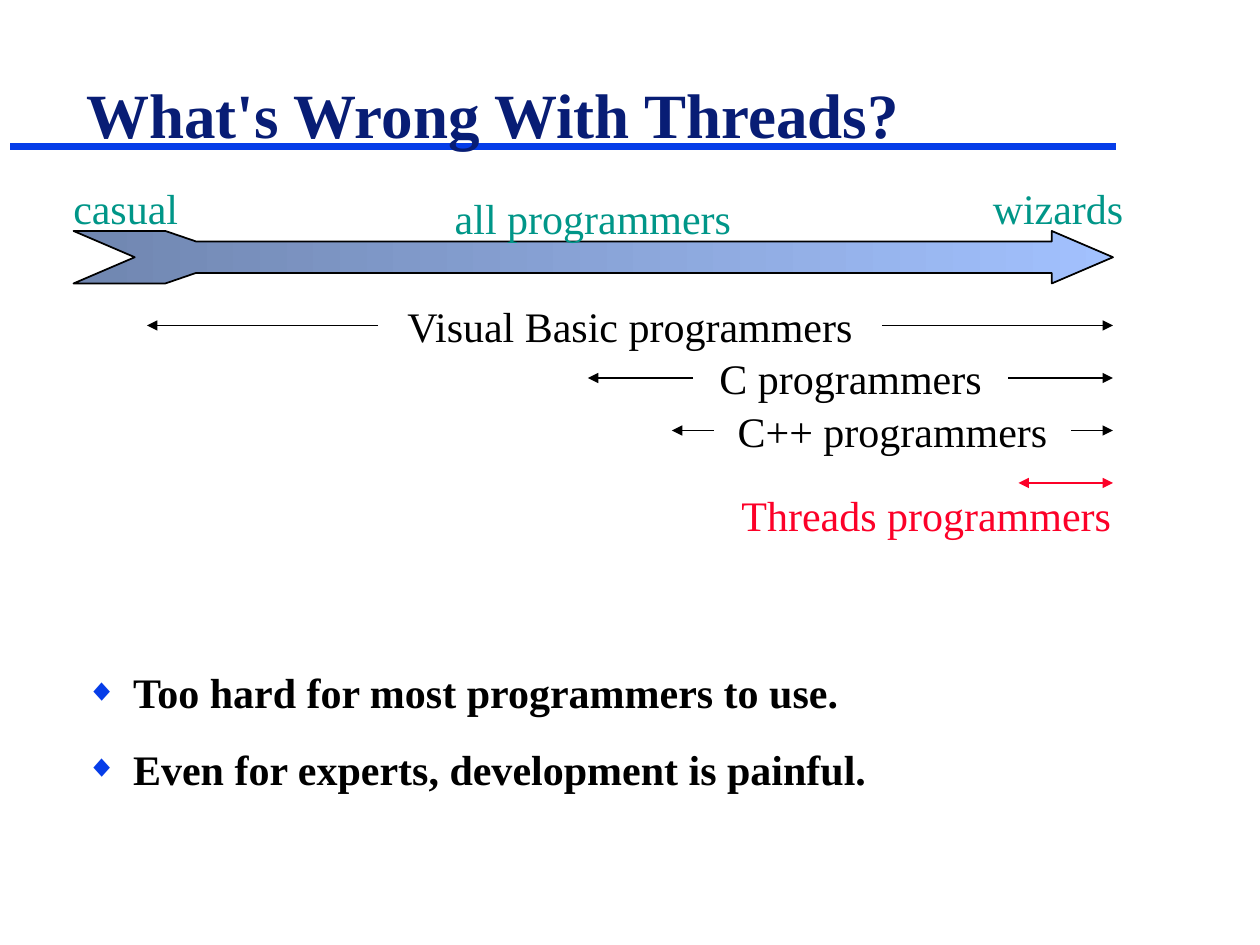
"""Build a slide showing how few programmers can work with threads."""
import lxml.etree
import pptx
import pptx.dml.color
import pptx.enum.shapes
import pptx.enum.text
import pptx.oxml.ns
import pptx.util

Pt = pptx.util.Pt
Align = pptx.enum.text.PP_ALIGN
Anchor = pptx.enum.text.MSO_ANCHOR
qn = pptx.oxml.ns.qn

THEME = {
    "font": "Times New Roman", "title_size": 36, "text_size": 24,
    "title": "081D75", "accent": "063DE8", "label": "009688",
    "text": "000000", "alert": "FC0128",
    "arrow_dark": "7086B0", "arrow_light": "A2C1FE",
}


def rgb(name):
    return pptx.dml.color.RGBColor.from_string(THEME[name])


def write(shape, lines, color, align=Align.LEFT, size="text_size", bold=False, anchor=Anchor.TOP):
    frame = shape.text_frame
    frame.text = "\n".join(lines)
    frame.word_wrap = True
    frame.vertical_anchor = anchor
    for paragraph in frame.paragraphs:
        paragraph.alignment = align
        font = paragraph.runs[0].font
        font.name, font.size, font.bold = THEME["font"], Pt(THEME[size]), bold
        font.color.rgb = rgb(color)


presentation = pptx.Presentation()
presentation.slide_width, presentation.slide_height = Pt(720), Pt(540)
slide = presentation.slides.add_slide(presentation.slide_layouts[5])
shapes = slide.shapes

title = shapes.title
title.left, title.top, title.width, title.height = Pt(42), Pt(3), Pt(648), Pt(87)
write(title, ["What's Wrong With Threads?"], "title",
      size="title_size", bold=True, anchor=Anchor.BOTTOM)

ARROW_LEFT, ARROW_RIGHT = 42, 636
TOP, SHAFT_TOP, MIDDLE, SHAFT_BOTTOM, BOTTOM = 132, 138, 147, 156, 162
outline = [
    (ARROW_LEFT, TOP), (94.5, TOP), (112, SHAFT_TOP), (601, SHAFT_TOP), (601, TOP),
    (ARROW_RIGHT, MIDDLE), (601, BOTTOM), (601, SHAFT_BOTTOM), (112, SHAFT_BOTTOM),
    (94.5, BOTTOM), (ARROW_LEFT, BOTTOM), (77, MIDDLE),
]
points = [(Pt(x), Pt(y)) for x, y in outline]
builder = shapes.build_freeform(*points[0])
builder.add_line_segments(points[1:], close=True)
arrow = builder.convert_to_shape()
arrow.shadow.inherit = False
arrow.fill.gradient()
arrow.fill.gradient_angle = 0
for stop, color, position in zip(arrow.fill.gradient_stops, ("arrow_dark", "arrow_light"), (0, 1)):
    stop.color.rgb = rgb(color)
    stop.position = position
arrow.line.color.rgb = rgb("text")
arrow.line.width = Pt(1)

labels = [
    ("casual", 34.8, 101, 80, "label", Align.LEFT),
    ("wizards", 557, 101, 92, "label", Align.RIGHT),
    ("all programmers", 252.8, 106.5, 180, "label", Align.LEFT),
    ("Visual Basic programmers", 222, 168, 276, "text", Align.CENTER),
    ("C programmers", 402, 198, 168, "text", Align.CENTER),
    ("C++ programmers", 413.5, 228, 193, "text", Align.CENTER),
    ("Threads programmers", 389.5, 276, 252.5, "alert", Align.RIGHT),
]
for text, left, top, width, color, align in labels:
    write(shapes.add_textbox(Pt(left), Pt(top), Pt(width), Pt(36)), [text], color, align)

lines = [(6, 84, 638, "accent", 4, ())]
for row, (start, gap_start, gap_end) in enumerate([(84, 216, 504), (336, 396, 576), (384, 408, 612)]):
    y = 186 + 30 * row
    lines.append((gap_end, y, ARROW_RIGHT, "text", 1, ("tailEnd",)))
    lines.append((gap_start, y, start, "text", 1, ("tailEnd",)))
lines.append((ARROW_RIGHT, 276, 582, "alert", 1, ("headEnd", "tailEnd")))

for start, y, end, color, weight, arrowheads in lines:
    line = shapes.add_connector(
        pptx.enum.shapes.MSO_CONNECTOR.STRAIGHT, Pt(start), Pt(y), Pt(end), Pt(y))
    line.line.color.rgb = rgb(color)
    line.line.width = Pt(weight)
    for arrowhead in arrowheads:
        lxml.etree.SubElement(line.line._get_or_add_ln(), qn("a:" + arrowhead), type="triangle")
    lxml.etree.SubElement(line.element.spPr, qn("a:effectLst"))
    if color == "accent":
        title.element.addprevious(line.element)

conclusions = shapes.add_textbox(Pt(42), Pt(377.3), Pt(648), Pt(139))
write(conclusions, ["Too hard for most programmers to use.",
                    "Even for experts, development is painful."], "text", bold=True)
for paragraph in conclusions.text_frame.paragraphs:
    paragraph.space_before = Pt(15)
    properties = paragraph._p.get_or_add_pPr()
    properties.set("marL", str(Pt(27)))
    properties.set("indent", str(Pt(-27)))
    bullet_color = lxml.etree.SubElement(properties, qn("a:buClr"))
    lxml.etree.SubElement(bullet_color, qn("a:srgbClr"), val=THEME["accent"])
    lxml.etree.SubElement(properties, qn("a:buSzPct"), val="75000")
    lxml.etree.SubElement(properties, qn("a:buFont"), typeface=THEME["font"])
    lxml.etree.SubElement(properties, qn("a:buChar"), char="◆")

presentation.save("out.pptx")
